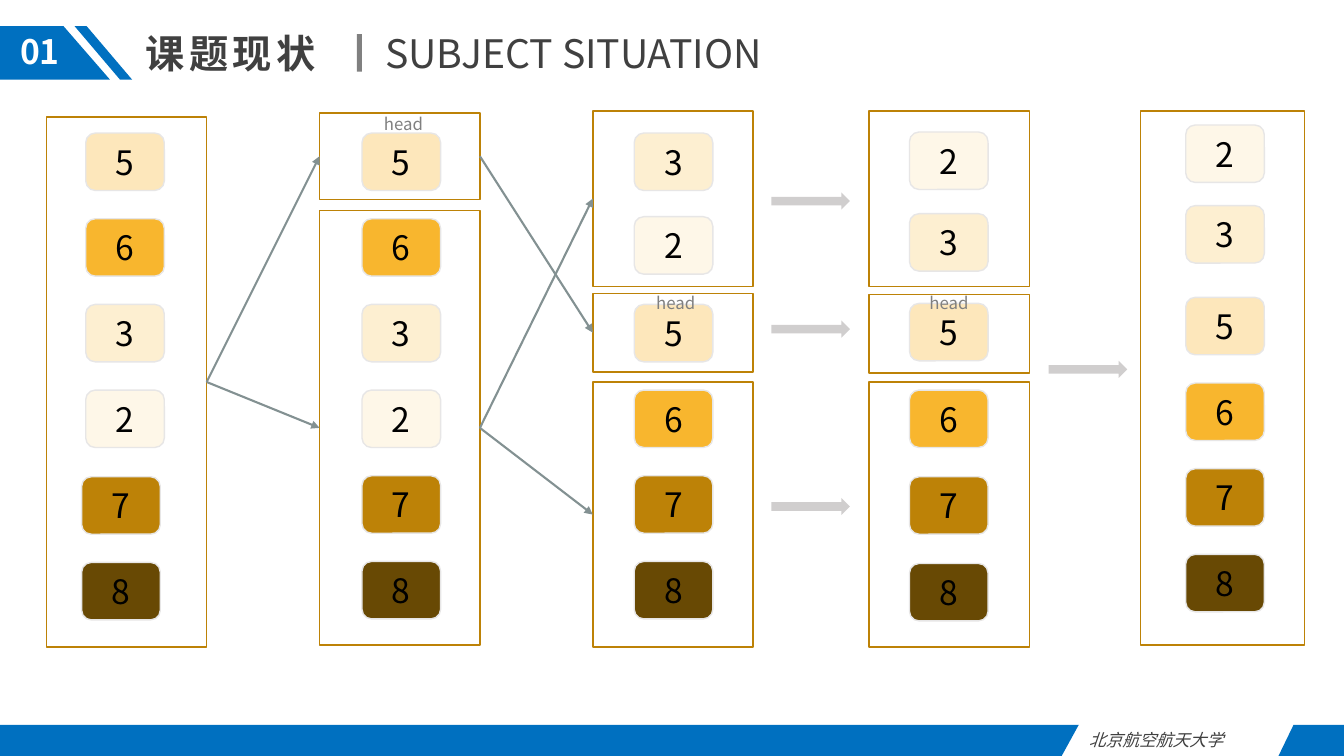
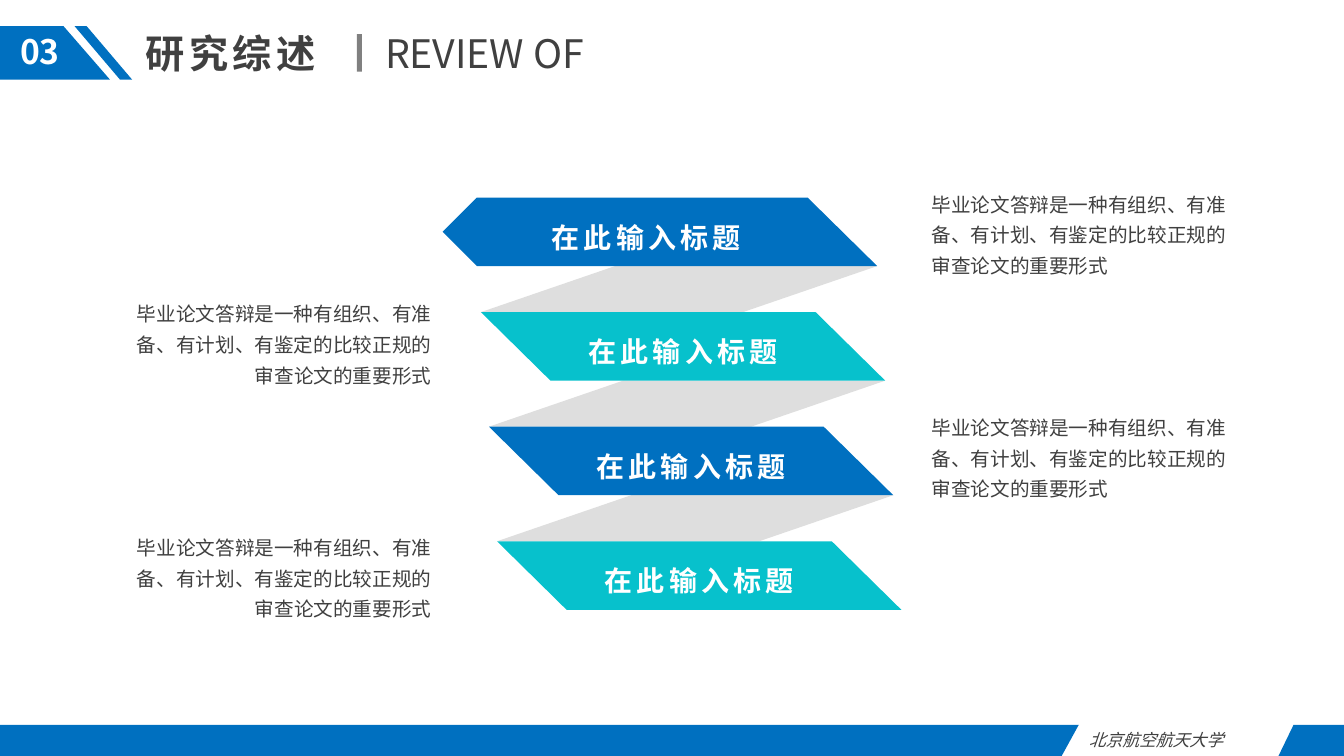
from lxml.etree import SubElement
from pptx import Presentation
from pptx.dml.color import RGBColor
from pptx.enum.shapes import MSO_CONNECTOR as Connector, MSO_SHAPE as Preset
from pptx.enum.text import MSO_ANCHOR as Anchor, PP_ALIGN as Align
from pptx.oxml.ns import qn
from pptx.util import Inches, Pt

BLUE, TEAL, WHITE, DARK, GREY = "0070C0", "07C1CC", "FFFFFF", "404040", "808080"
RIBBON, ARROW, LINK = "DEDEDE", "D0CECE", "839192"
FRAME_LINE, TILE_LINE = "BD8207", "E7E6E6"
TILE_FILLS = {"2": "FEF7E8", "3": "FDEFD1", "5": "FDE7BB",
              "6": "F8B62E", "7": "BD8207", "8": "684904"}
FONT = "Noto Sans CJK SC"
LEFT_SITE, RIGHT_SITE = 1, 3


def color(value):
    return RGBColor.from_string(value)


def write_text(shape, text, *, size, fill=DARK, font=FONT, bold=False, italic=False,
               align=Align.LEFT, anchor=Anchor.TOP, spacing=None, tracking=0,
               wrap=True, side_insets=(0.1, 0.1)):
    """Fill a shape with one formatted paragraph; tracking is in points."""
    frame = shape.text_frame
    frame.word_wrap = wrap
    frame.vertical_anchor = anchor
    frame.margin_left, frame.margin_right = map(Inches, side_insets)
    frame.margin_top = frame.margin_bottom = Inches(0.05)
    paragraph = frame.paragraphs[0]
    paragraph.alignment = align
    if spacing:
        paragraph.line_spacing = spacing
    run = paragraph.add_run()
    run.text = text
    run.font.size = Pt(size)
    run.font.bold = bold
    run.font.italic = italic
    run.font.color.rgb = color(fill)
    run.font.name = font
    properties = run.font._element
    SubElement(properties, qn("a:ea")).set("typeface", FONT)
    if tracking:
        properties.set("spc", str(tracking * 100))


class Deck:
    def __init__(self):
        self.presentation = Presentation()
        self.presentation.slide_width = Inches(13.33)
        self.presentation.slide_height = Inches(7.5)
        self.slide = None

    def add_slide(self, number, title, subtitle):
        """Start a slide with the shared header and footer."""
        self.slide = self.presentation.slides.add_slide(self.presentation.slide_layouts[6])
        self.outline([(0, 0.26), (0.63, 0.26), (1.09, 0.79), (0, 0.79)], BLUE)
        self.outline([(0.86, 0.26), (1.31, 0.79), (1.19, 0.79), (0.74, 0.26)], BLUE)
        self.text(0, 0.26, 0.79, 0.5, number, size=24, fill=WHITE, bold=True,
                  align=Align.CENTER)
        self.text(1.35, 0.24, 1.96, 0.57, title, size=28, bold=True, tracking=3)
        self.shape(Preset.RECTANGLE, 3.54, 0.34, 0.05, 0.37, fill=GREY)
        self.text(3.72, 0.24, 4.02, 0.57, subtitle, size=28, wrap=False)
        self.outline([(0, 7.19), (10.7, 7.19), (10.53, 7.5), (0, 7.5)], BLUE)
        self.text(10.7, 7.19, 1.98, 0.3, "北京航空航天大学", size=12, italic=True,
                  align=Align.JUSTIFY)
        self.outline([(12.83, 7.19), (13.33, 7.19), (13.33, 7.5), (12.68, 7.5)], BLUE)

    def paint(self, shape, fill=None, line=None):
        shape.shadow.inherit = False
        if fill:
            shape.fill.solid()
            shape.fill.fore_color.rgb = color(fill)
        else:
            shape.fill.background()
        if line:
            shape.line.color.rgb = color(line)
            shape.line.width = Pt(1)
        else:
            shape.line.fill.background()
        return shape

    def shape(self, preset, left, top, width, height, fill=None, line=None):
        box = map(Inches, (left, top, width, height))
        return self.paint(self.slide.shapes.add_shape(preset, *box), fill, line)

    def outline(self, points, fill):
        """Draw a closed polygon through points given in inches."""
        start, *rest = [(Inches(x), Inches(y)) for x, y in points]
        builder = self.slide.shapes.build_freeform(*start)
        builder.add_line_segments(rest, close=True)
        return self.paint(builder.convert_to_shape(), fill)

    def text(self, left, top, width, height, text, **text_format):
        box = map(Inches, (left, top, width, height))
        write_text(self.slide.shapes.add_textbox(*box), text, **text_format)

    def frame(self, left, top, width, height):
        return self.shape(Preset.RECTANGLE, left, top, width, height, line=FRAME_LINE)

    def tiles(self, left, top, pitch, digits):
        """Stack one numbered tile per digit, downwards."""
        for index, digit in enumerate(digits):
            tile = self.shape(Preset.ROUNDED_RECTANGLE, left, top + index * pitch,
                              0.78, 0.57, TILE_FILLS[digit], TILE_LINE)
            write_text(tile, digit, size=24, fill="000000", align=Align.CENTER,
                       anchor=Anchor.MIDDLE)

    def link(self, source, target):
        """Join the right side of one frame to the left side of another."""
        connector = self.slide.shapes.add_connector(Connector.STRAIGHT, 0, 0, 0, 0)
        connector.begin_connect(source, RIGHT_SITE)
        connector.end_connect(target, LEFT_SITE)
        connector.line.color.rgb = color(LINK)
        connector.line.width = Pt(1.5)
        SubElement(connector.line._get_or_add_ln(), qn("a:tailEnd")).set("type", "triangle")
        SubElement(connector._element.spPr, qn("a:effectLst"))


def add_sorting_slide(deck):
    deck.add_slide("01", "课题现状", "SUBJECT SITUATION")
    for stack in [(0.85, 1.32, 0.85, "5632"), (0.81, 4.73, 0.85, "78"),
                  (3.59, 1.32, 0.85, "563278"),
                  (6.29, 1.32, 0.83, "32"), (6.29, 3.02, 0.85, "5678"),
                  (9.02, 1.31, 0.81, "23"), (9.02, 3.01, 0.86, "5678"),
                  (11.76, 1.24, 0.8, "23"), (11.76, 2.95, 0.85, "5678")]:
        deck.tiles(*stack)

    unsorted = deck.frame(0.46, 1.16, 1.59, 5.26)
    pivot = deck.frame(3.17, 1.12, 1.59, 0.86)
    remainder = deck.frame(3.17, 2.09, 1.59, 4.31)
    smaller, middle, larger = [
        deck.frame(5.88, top, 1.59, height)
        for top, height in [(1.1, 1.74), (2.91, 0.78), (3.79, 2.63)]]
    for top, height in [(1.1, 1.74), (2.92, 0.78), (3.79, 2.63)]:
        deck.frame(8.62, top, 1.59, height)
    deck.frame(11.31, 1.1, 1.63, 5.3)

    for source, target in [(unsorted, pivot), (unsorted, remainder), (pivot, middle),
                           (remainder, smaller), (remainder, larger)]:
        deck.link(source, target)
    for left, top in [(7.65, 1.91), (7.65, 3.18), (7.65, 4.94), (10.4, 3.58)]:
        deck.shape(Preset.RIGHT_ARROW, left, top, 0.78, 0.17, fill=ARROW)
    for left, top in [(3.71, 1.12), (6.41, 2.89), (9.12, 2.89)]:
        deck.text(left, top, 0.78, 0.26, "head", size=12, fill=GREY, spacing=0.8)


def add_review_slide(deck):
    deck.add_slide("03", "研究综述", "REVIEW OF")
    bar_count, bar_height, ribbon_width = 4, 0.68, 2.6
    first_top, last_top, shift = 1.96, 5.37, 0.08
    pitch = (last_top - first_top) / (bar_count - 1)

    for index in range(bar_count):
        top = first_top + index * pitch
        bottom = top + bar_height
        left, right = 4.69 + index * shift, 8.7 + index * shift
        if index < bar_count - 1:
            next_left, next_top = left + shift, top + pitch
            deck.outline([(right - ribbon_width, bottom), (right, bottom),
                          (next_left + ribbon_width, next_top), (next_left, next_top)],
                         RIBBON)
        if index == 0:
            left_edge = [(4.73, bottom), (4.39, top + bar_height / 2), (4.73, top)]
            insets = (0.24, 0.51)
        else:
            left_edge = [(left + 0.69, bottom), (left, top)]
            insets = (0.47, 0.47)
        bar = deck.outline([(right - 0.69, top), (right, bottom), *left_edge],
                           TEAL if index % 2 else BLUE)
        write_text(bar, "在此输入标题", size=20, fill=WHITE, bold=True, tracking=3,
                   spacing=1.3, align=Align.CENTER, anchor=Anchor.MIDDLE,
                   side_insets=insets)

    for left, top, align in [(9.14, 1.79, Align.LEFT), (1.2, 2.88, Align.RIGHT),
                             (9.14, 4.01, Align.LEFT), (1.2, 5.2, Align.RIGHT)]:
        deck.text(left, top, 3.18, 1.02,
                  "毕业论文答辩是一种有组织、有准备、有计划、有鉴定的比较正规的审查论文的重要形式",
                  size=14, font="Arial", spacing=1.3, align=align)


def main():
    deck = Deck()
    add_sorting_slide(deck)
    add_review_slide(deck)
    deck.presentation.save("out.pptx")


if __name__ == "__main__":
    main()
